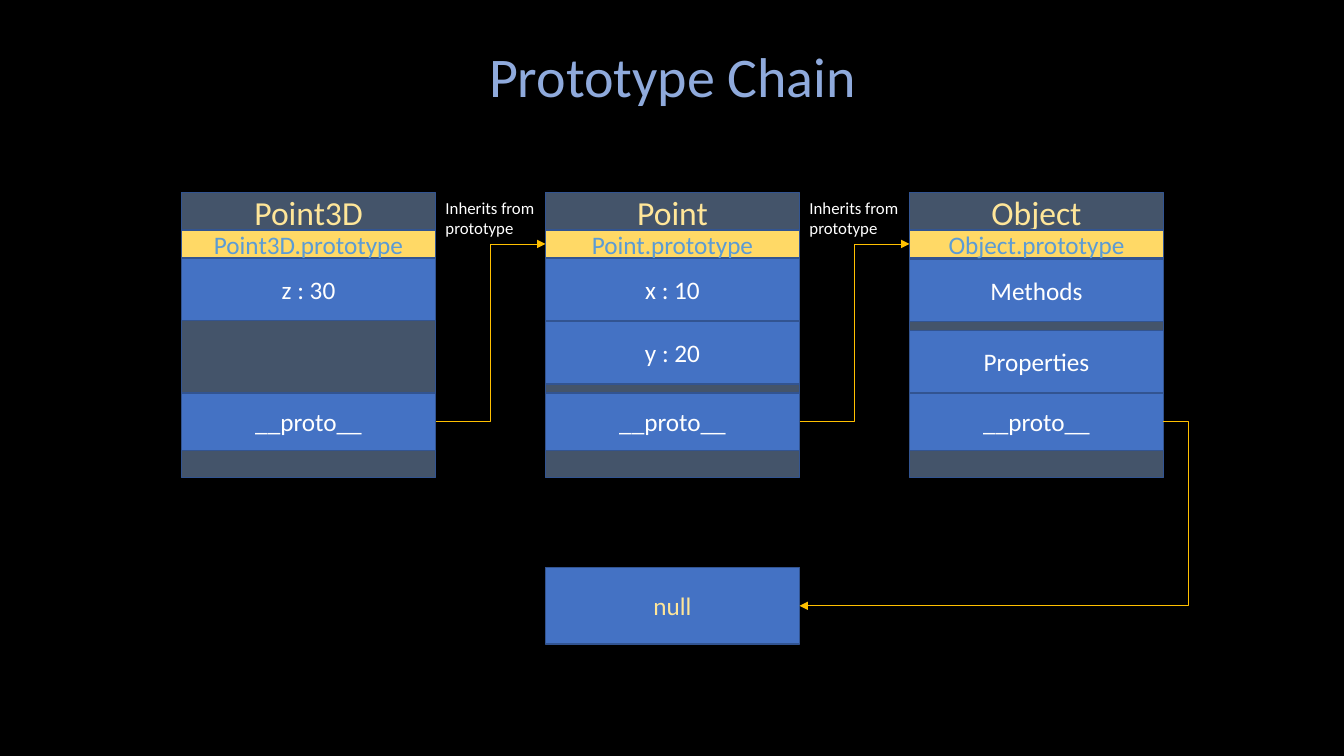
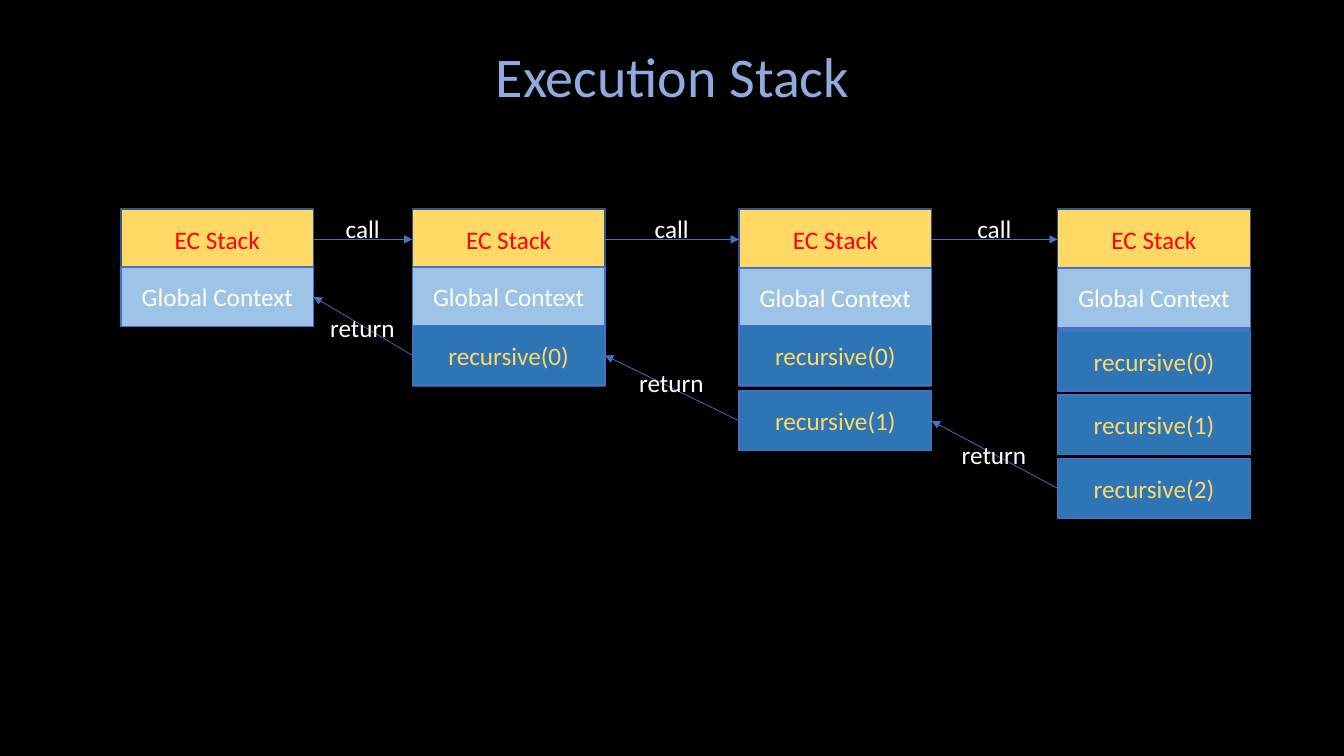
from dataclasses import dataclass

from lxml.etree import SubElement
from pptx import Presentation
from pptx.dml.color import RGBColor
from pptx.enum.shapes import MSO_CONNECTOR as LINK, MSO_SHAPE
from pptx.enum.text import MSO_ANCHOR, MSO_AUTO_SIZE, PP_ALIGN
from pptx.oxml.ns import qn
from pptx.util import Emu, Pt

PX = 9144  # EMU in one px, 100 px to the inch
RIGHT, LEFT = 3, 1


@dataclass(frozen=True)
class Theme:
    font: str = "Calibri"
    background: str = "000000"
    title: str = "8FAADC"
    text: str = "FFFFFF"
    panel: str = "44546A"
    blue: str = "4472C4"
    outline: str = "325491"
    gold: str = "FFD966"
    pale_gold: str = "FFE699"
    amber: str = "FFC000"
    sky: str = "5B9BD5"
    light_blue: str = "9DC3E6"
    deep_blue: str = "2E75B6"
    red: str = "FF0000"
    title_size: int = 40
    name_size: int = 24
    body_size: int = 18
    note_size: int = 12


T = Theme()


def px(*lengths):
    return [Emu(round(n * PX)) for n in lengths]


def rgb(code):
    return RGBColor.from_string(code)


def write(tf, lines, color, size=T.body_size, align=PP_ALIGN.CENTER):
    for i, line in enumerate(lines):
        p = tf.add_paragraph() if i else tf.paragraphs[0]
        p.alignment = align
        r = p.add_run()
        r.text = line
        r.font.name = T.font
        r.font.size = Pt(size)
        r.font.color.rgb = rgb(color)


def add_box(s, box, fill, label=None, color=T.text, line=T.outline):
    sp = s.shapes.add_shape(MSO_SHAPE.RECTANGLE, *px(*box))
    sp.shadow.inherit = False
    sp.fill.solid()
    sp.fill.fore_color.rgb = rgb(fill)
    sp.line.color.rgb = rgb(line)
    sp.line.width = Pt(1)
    if label:
        sp.text_frame.vertical_anchor = MSO_ANCHOR.MIDDLE
        write(sp.text_frame, [label], color)
    return sp


def add_text(s, box, lines, color=T.text, size=T.body_size,
             align=PP_ALIGN.LEFT, wrap=True):
    tf = s.shapes.add_textbox(*px(*box)).text_frame
    tf.word_wrap = wrap
    tf.auto_size = MSO_AUTO_SIZE.SHAPE_TO_FIT_TEXT
    write(tf, lines, color, size, align)


def add_arrow(s, kind, start, start_side, end, end_side, color, bend=None):
    """Join two boxes; bend places the elbow, in 1/100000 of the width."""
    c = s.shapes.add_connector(kind, 0, 0, 0, 0)
    c.begin_connect(start, start_side)
    c.end_connect(end, end_side)
    c.line.color.rgb = rgb(color)
    c.line.width = Pt(0.5)
    sp_pr = c.element.spPr
    SubElement(sp_pr.find(qn("a:ln")), qn("a:tailEnd"), type="triangle")
    SubElement(sp_pr, qn("a:effectLst"))
    if bend is not None:
        geom = sp_pr.find(qn("a:prstGeom"))
        av = geom.find(qn("a:avLst"))
        if av is None:
            av = SubElement(geom, qn("a:avLst"))
        SubElement(av, qn("a:gd"), name="adj1", fmla=f"val {bend}")


def add_slide(prs, title):
    s = prs.slides.add_slide(prs.slide_layouts.get_by_name("Title Only"))
    sp = s.shapes.title
    sp.left, sp.top, sp.width, sp.height = px(205, 36, 924, 77)
    sp.text_frame.vertical_anchor = MSO_ANCHOR.TOP
    write(sp.text_frame, [title], T.title, T.title_size)
    return s


def add_object(s, box, name, slots):
    """Draw an object and return its prototype bar and __proto__ slot."""
    x, y, w, h = box
    add_box(s, box, T.panel)
    add_text(s, (x, y - 6, w, 50), [name], T.pale_gold, T.name_size,
             PP_ALIGN.CENTER)
    proto = add_box(s, (x, y + 199, w, 57), T.blue, "__proto__")
    for label, dy in slots:
        add_box(s, (x, y + dy, w, 62), T.blue, label)
    bar = add_box(s, (x, y + 37, w, 28), T.gold, f"{name}.prototype", T.sky)
    return bar, proto


def prototype_chain(prs):
    s = add_slide(prs, "Prototype Chain")
    x, y, w, h, gap = 180, 191, 252, 283, 109
    objects = [
        ("Point3D", [("z : 30", 65)]),
        ("Point", [("x : 10", 65), ("y : 20", 128)]),
        ("Object", [("Methods", 66), ("Properties", 137)]),
    ]
    proto = None
    for i, (name, slots) in enumerate(objects):
        left = x + i * (w + gap)
        bar, next_proto = add_object(s, (left, y, w, h), name, slots)
        if proto:
            add_arrow(s, LINK.ELBOW, proto, RIGHT, bar, LEFT, T.amber)
            add_text(s, (left - gap, y, gap, 50),
                     ["Inherits from", "prototype"], size=T.note_size)
        proto = next_proto
    null = add_box(s, (x + w + gap, 563, w, 76), T.blue, "null", T.pale_gold)
    add_arrow(s, LINK.ELBOW, proto, RIGHT, null, RIGHT, T.amber, bend=-6900)


def add_stack(s, box, offsets):
    """Draw one context per offset and return the boxes from the top down."""
    x, y, w, h = box
    backing = min(len(offsets), 3) * h - 1
    add_box(s, (x, y, w, backing), T.blue)
    styles = [("EC Stack", T.gold, T.red, T.outline),
              ("Global Context", T.light_blue, T.text, T.blue)]
    styles += [(f"recursive({i})", T.deep_blue, T.gold, T.blue)
               for i in range(len(offsets) - len(styles))]
    return [add_box(s, (x, y + dy, w, h), fill, label, color, line)
            for dy, (label, fill, color, line) in zip(offsets, styles)]


def execution_stack(prs):
    s = add_slide(prs, "Execution Stack")
    y, w, h = 207, 191, 59
    lefts = [120, 409, 733, 1049]
    offsets = [(1, 58), (1, 58, 116), (1, 59, 116, 181),
               (1, 59, 122, 185, 248)]
    stacks = [add_stack(s, (x, y, w, h), dys)
              for x, dys in zip(lefts, offsets)]
    for caller, callee in zip(stacks, stacks[1:]):
        add_arrow(s, LINK.STRAIGHT, caller[0], RIGHT, callee[0], LEFT, T.blue)
        add_arrow(s, LINK.STRAIGHT, callee[-1], LEFT, caller[-1], RIGHT,
                  T.blue)
    for x, next_x, return_y in zip(lefts, lefts[1:], (305, 359, 431)):
        middle = (x + w + next_x) / 2
        for word, top, width in (("call", y, 54), ("return", return_y, 85)):
            add_text(s, (middle - width / 2, top, width, 40), [word],
                     wrap=False)


def main():
    prs = Presentation()
    prs.slide_width, prs.slide_height = px(1333, 750)
    fill = prs.slide_master.background.fill
    fill.solid()
    fill.fore_color.rgb = rgb(T.background)
    prototype_chain(prs)
    execution_stack(prs)
    prs.save("out.pptx")


if __name__ == "__main__":
    main()
